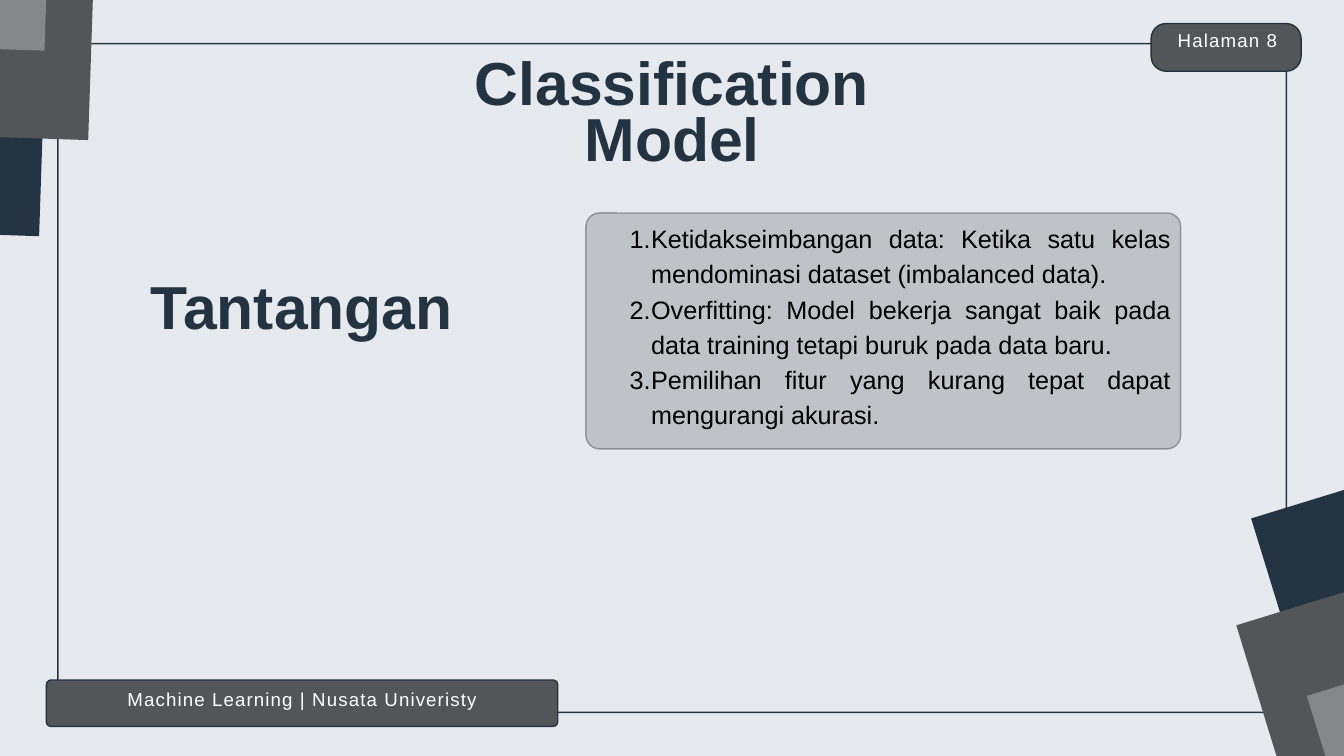
import pptx
import pptx.util
import pptx.dml.color
import pptx.enum.shapes
import pptx.enum.text
import lxml.etree

Pt = pptx.util.Pt
SHAPES = pptx.enum.shapes.MSO_SHAPE
ALIGN = pptx.enum.text.PP_ALIGN
NAMESPACE = "{http://schemas.openxmlformats.org/drawingml/2006/main}"

PALE, NAVY, SLATE, GREY = "E6EAEF", "243342", "535659", "858789"

presentation = pptx.Presentation()
presentation.slide_width = Pt(1440)
presentation.slide_height = Pt(810)
slide = presentation.slides.add_slide(presentation.slide_layouts[6])


def paint(fill, color):
    fill.solid()
    fill.fore_color.rgb = pptx.dml.color.RGBColor.from_string(color)


def add_text(text, left, top, width, height, size=20, color="FFFFFF", bold=False,
             align=ALIGN.CENTER, line_spacing=28, tracking=0, numbered=False):
    box = slide.shapes.add_textbox(Pt(left), Pt(top), Pt(width), Pt(height))
    frame = box.text_frame
    frame.word_wrap = True
    frame.auto_size = pptx.enum.text.MSO_AUTO_SIZE.SHAPE_TO_FIT_TEXT
    frame.margin_left = frame.margin_top = frame.margin_right = frame.margin_bottom = 0
    frame.text = text
    for paragraph in frame.paragraphs:
        paragraph.alignment = align
        paragraph.line_spacing = Pt(line_spacing)
        font = paragraph.runs[0].font
        font.name, font.size, font.bold = "Arial", Pt(size), bold
        paint(font.fill, color)
        if tracking:
            paragraph.runs[0].font._element.set("spc", str(round(tracking * 100)))
        if numbered:
            paragraph.level = 1
            properties = paragraph._p.get_or_add_pPr()
            properties.set("marL", str(Pt(46)))
            properties.set("indent", str(Pt(-23)))
            lxml.etree.SubElement(properties, NAMESPACE + "buAutoNum", type="arabicPeriod")


# Background
paint(slide.background.fill, PALE)

# Frame, tilted corner squares, then panels: back to front
rounded = SHAPES.ROUNDED_RECTANGLE
square = SHAPES.RECTANGLE
# kind, left, top, width, height, fill, corner radius, rotation, opacity in percent
blocks = [(rounded, 62, 46.8, 1316.2, 716.4, PALE, 7, 0, 100)]
for angle, corners in (
    (271.9, [(-388.8, -192.2, NAVY), (-336.2, -295.2, SLATE), (-383, -391, GREY)]),
    (72.9, [(1396.1, 480.2, NAVY), (1380.2, 594.7, SLATE), (1455.8, 670.3, GREY)]),
):
    for left, top, color in corners:
        blocks.append((square, left, top, 437, 439.2, color, 0, angle, 100))
blocks += [
    (rounded, 627.8, 228.2, 637.2, 252.7, GREY, 14.4, 0, 40),
    (rounded, 1233.4, 25.2, 160.6, 51.1, SLATE, 16, 0, 100),
    (rounded, 49.7, 728.6, 547.9, 49.7, SLATE, 5, 0, 100),
]
for kind, left, top, width, height, color, radius, angle, opacity in blocks:
    shape = slide.shapes.add_shape(kind, Pt(left), Pt(top), Pt(width), Pt(height))
    shape.shadow.inherit = False
    shape.rotation = angle
    paint(shape.fill, color)
    if kind == rounded:
        shape.adjustments[0] = radius / min(width, height)
        shape.line.width = Pt(1.5)
        paint(shape.line.fill, NAVY)
    else:
        shape.line.fill.background()
    if opacity < 100:
        for color_element in shape._element.spPr.iter(NAMESPACE + "srgbClr"):
            lxml.etree.SubElement(color_element, NAMESPACE + "alpha", val=str(opacity * 1000))

# Headings
heading = dict(size=65, color=NAVY, bold=True, line_spacing=59.8)
add_text("Classification Model", 422.6, 66.2, 595.4, 146.2, **heading)
add_text("Tantangan", 64.1, 306, 518.4, 87.1, **heading)

# Numbered challenges
challenges = [
    "Ketidakseimbangan data: Ketika satu kelas mendominasi dataset (imbalanced data).",
    "Overfitting: Model bekerja sangat baik pada data training tetapi buruk pada data baru.",
    "Pemilihan fitur yang kurang tepat dapat mengurangi akurasi.",
]
add_text("\n".join(challenges), 651.6, 234, 602.6, 230.4, size=27, color="000000",
         align=ALIGN.JUSTIFY, line_spacing=37.8, numbered=True)

# Page label and footer
add_text("Halaman 8", 1229.8, 27.4, 170.6, 35.3, tracking=1.2)
add_text("Machine Learning | Nusata Univeristy", 43.2, 733, 560.9, 35.3, tracking=1.2)

presentation.save("out.pptx")
